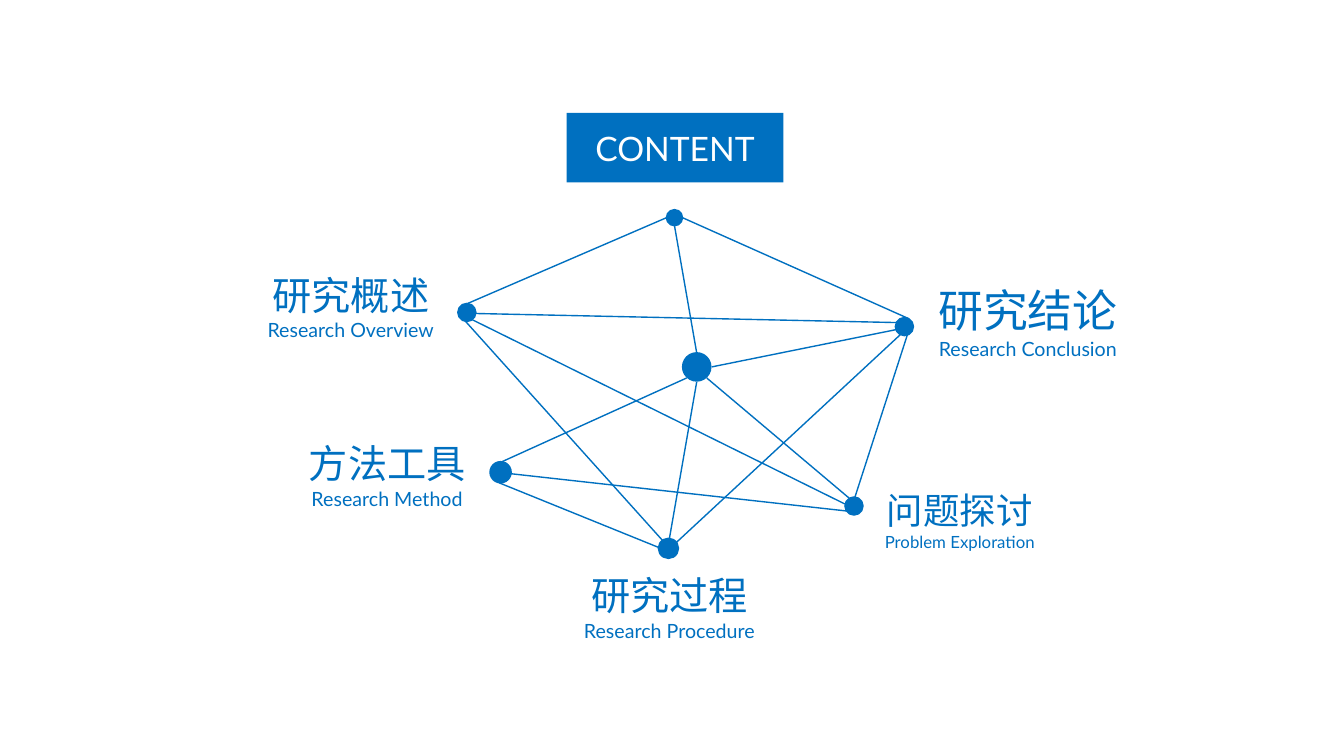
from dataclasses import dataclass

import lxml.etree
import pptx
import pptx.dml.color
import pptx.enum.shapes
import pptx.enum.text
import pptx.oxml.ns
import pptx.slide
import pptx.text.text
import pptx.util
from pptx.util import Inches

COLORS = {"blue": "0070C0", "white": "FFFFFF"}
FONT = "Lato"


@dataclass
class Node:
    left: float
    top: float
    size: float


@dataclass
class Edge:
    x1: float
    y1: float
    x2: float
    y2: float


@dataclass
class Topic:
    left: float
    top: float
    width: float
    height: float
    name: str
    english: str
    name_size: int = 28
    english_size: int = 14


NODES = [
    Node(6.61, 2.08, 0.16),
    Node(6.77, 3.5, 0.28),
    Node(8.88, 3.15, 0.18),
    Node(4.86, 4.58, 0.21),
    Node(4.54, 3.01, 0.18),
    Node(6.53, 5.34, 0.2),
    Node(8.38, 4.93, 0.18),
]

EDGES = [
    Edge(6.61, 2.16, 4.64, 3.01),
    Edge(6.77, 2.16, 9.01, 3.16),
    Edge(6.69, 2.24, 6.91, 3.5),
    Edge(4.61, 3.18, 6.57, 5.36),
    Edge(8.38, 5, 4.68, 3.17),
    Edge(8.89, 3.2, 4.71, 3.11),
    Edge(6.71, 5.38, 8.93, 3.32),
    Edge(6.91, 3.79, 6.64, 5.34),
    Edge(7.01, 3.75, 8.42, 4.94),
    Edge(8.89, 3.27, 7.06, 3.64),
    Edge(9, 3.32, 8.48, 4.93),
    Edge(6.81, 3.75, 4.98, 4.58),
    Edge(4.95, 4.79, 6.53, 5.43),
    Edge(8.4, 5.07, 5.07, 4.7),
]

TOPICS = [
    Topic(2.31, 2.64, 2.34, 0.81, "研究概述", "Research Overview"),
    Topic(2.67, 4.31, 2.34, 0.81, "方法工具", "Research Method"),
    Topic(5.47, 5.62, 2.34, 0.81, "研究过程", "Research Procedure"),
    Topic(8.52, 4.79, 2, 0.74, "问题探讨", "Problem Exploration", 26, 12),
    Topic(9.09, 2.76, 2.21, 0.88, "研究结论", "Research Conclusion", 32),
]


def rgb(name: str) -> pptx.dml.color.RGBColor:
    return pptx.dml.color.RGBColor.from_string(COLORS[name])


def format_paragraph(p: pptx.text.text._Paragraph, size: int, color: str) -> None:
    p.alignment = pptx.enum.text.PP_ALIGN.CENTER
    for r in p.runs:
        r.font.name = FONT
        r.font.size = pptx.util.Pt(size)
        r.font.color.rgb = rgb(color)


def add_title(s: pptx.slide.Slide, text: str) -> None:
    sp = s.shapes.title
    sp.left, sp.top = Inches(5.62), Inches(1.12)
    sp.width, sp.height = Inches(2.15), Inches(0.69)
    sp.fill.solid()
    sp.fill.fore_color.rgb = rgb("blue")
    tf = sp.text_frame
    tf.text = text
    tf.auto_size = pptx.enum.text.MSO_AUTO_SIZE.NONE
    tf.vertical_anchor = pptx.enum.text.MSO_ANCHOR.MIDDLE
    tf.paragraphs[0].line_spacing = 1.0
    format_paragraph(tf.paragraphs[0], 24, "white")


def add_edge(s: pptx.slide.Slide, edge: Edge) -> None:
    line = s.shapes.add_connector(
        pptx.enum.shapes.MSO_CONNECTOR.STRAIGHT,
        Inches(edge.x1), Inches(edge.y1), Inches(edge.x2), Inches(edge.y2))
    line.line.color.rgb = rgb("blue")
    line.line.width = pptx.util.Pt(1)
    lxml.etree.SubElement(line._element.spPr, pptx.oxml.ns.qn("a:effectLst"))


def add_node(s: pptx.slide.Slide, node: Node) -> None:
    sp = s.shapes.add_shape(
        pptx.enum.shapes.MSO_SHAPE.OVAL, Inches(node.left), Inches(node.top),
        Inches(node.size), Inches(node.size))
    sp.shadow.inherit = False
    sp.fill.solid()
    sp.fill.fore_color.rgb = rgb("blue")
    sp.line.color.rgb = rgb("blue")
    sp.line.width = pptx.util.Pt(1)


def add_topic(s: pptx.slide.Slide, topic: Topic) -> None:
    sp = s.shapes.add_textbox(Inches(topic.left), Inches(topic.top),
                              Inches(topic.width), Inches(topic.height))
    tf = sp.text_frame
    tf.word_wrap = True
    tf.auto_size = pptx.enum.text.MSO_AUTO_SIZE.SHAPE_TO_FIT_TEXT
    tf.text = f"{topic.name}\n{topic.english}"
    for p, size in zip(tf.paragraphs, (topic.name_size, topic.english_size)):
        format_paragraph(p, size, "blue")


def main() -> None:
    prs = pptx.Presentation()
    prs.slide_width, prs.slide_height = Inches(13.33), Inches(7.5)
    s = prs.slides.add_slide(prs.slide_layouts.get_by_name("Title Only"))
    add_title(s, "CONTENT")
    for edge in EDGES:
        add_edge(s, edge)
    for node in NODES:
        add_node(s, node)
    for topic in TOPICS:
        add_topic(s, topic)
    prs.save("out.pptx")


if __name__ == "__main__":
    main()
